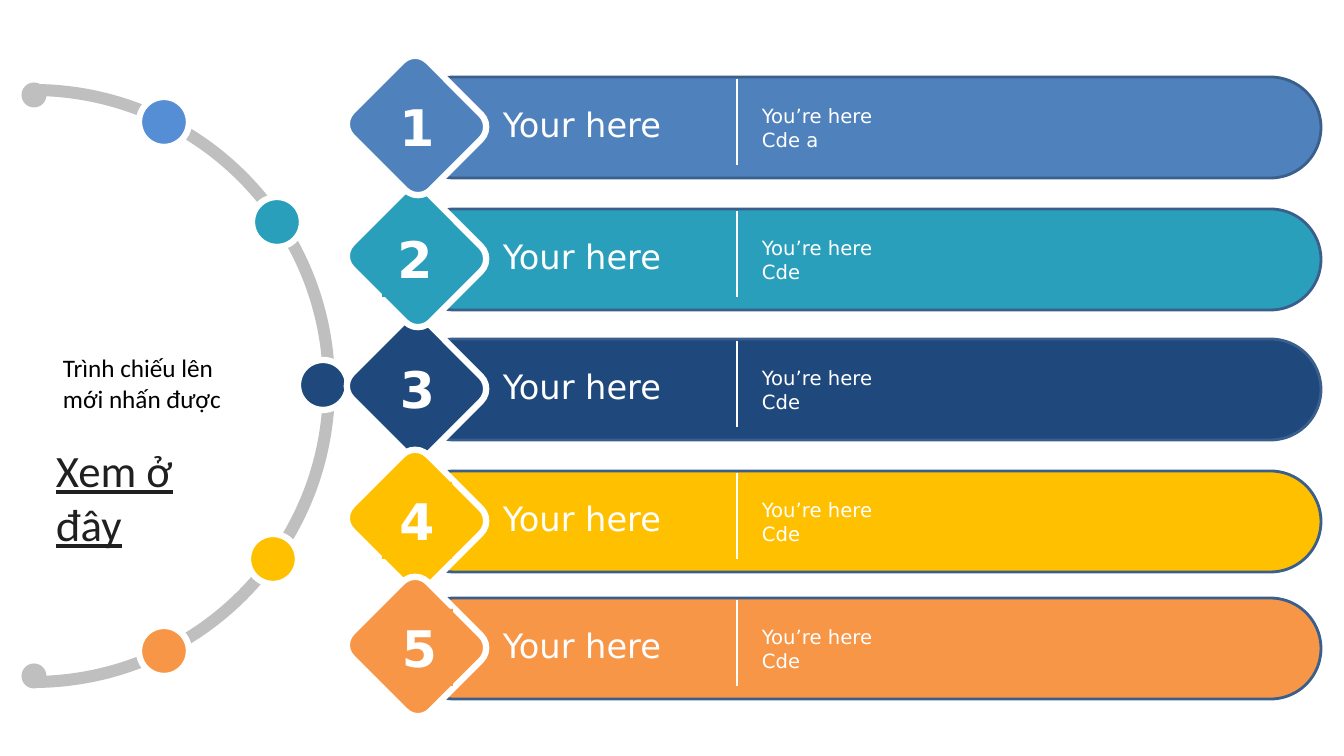
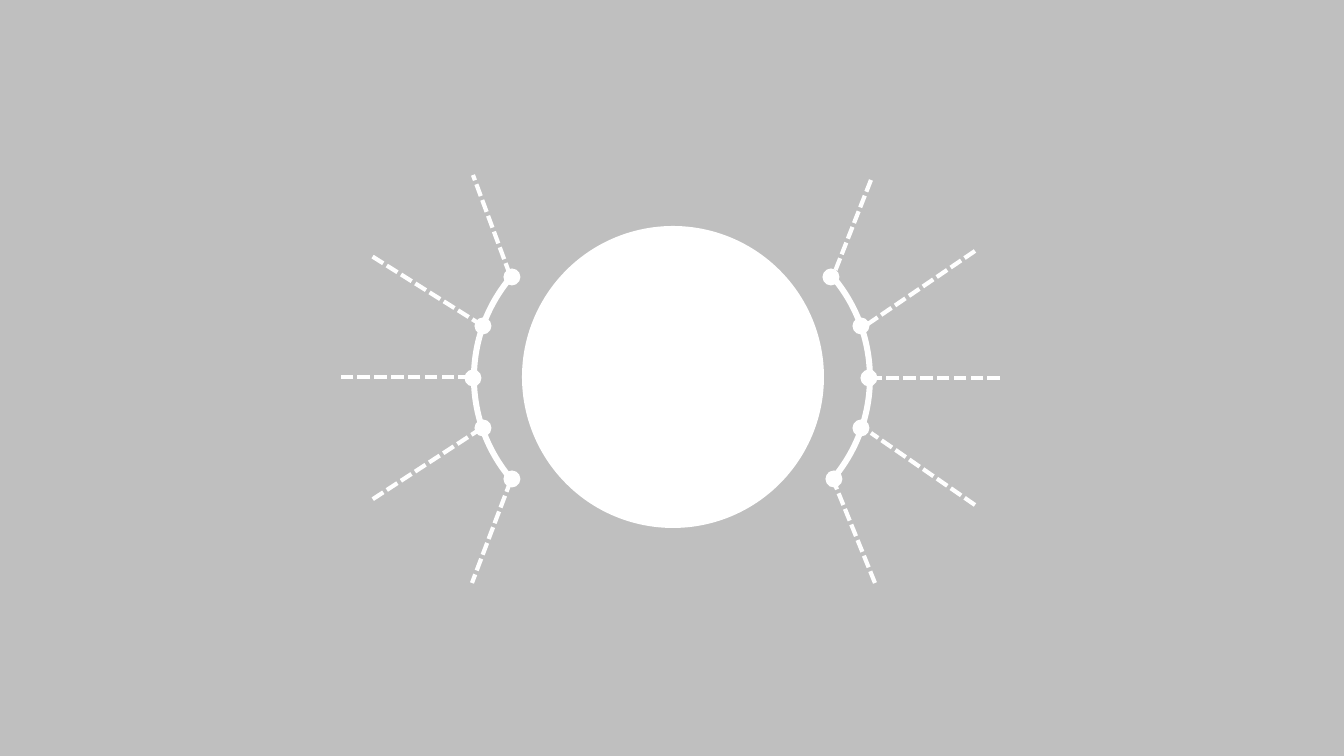
import math
from collections import namedtuple
from dataclasses import dataclass

from lxml import etree
from pptx import Presentation
from pptx import util as u
from pptx.dml import color
from pptx.enum import dml, shapes, text
from pptx.oxml import ns

EMU_PER_PX = 914400 / 100.8

Box = namedtuple("Box", "left top width height")
Band = namedtuple("Band", "top fill label_fill number_left number_width note")
Spoke = namedtuple("Spoke", "dot start end")


@dataclass(frozen=True)
class Theme:
    white: str = "FFFFFF"
    grey: str = "BFBFBF"
    black: str = "000000"
    charcoal: str = "202020"
    band_edge: str = "3A5F8C"
    light_blue: str = "558ED5"
    blue: str = "4F81BD"
    teal: str = "2A9FBC"
    navy: str = "1F497D"
    yellow: str = "FFC000"
    orange: str = "F79646"
    display: str = "DejaVu Sans"
    body: str = "Calibri"
    number_size: int = 36
    link_size: int = 32
    heading_size: int = 24
    hint_size: int = 18
    note_size: int = 14
    halo_width: float = 4.5
    ray_width: float = 3
    edge_width: float = 2
    divider_width: float = 1.5


THEME = Theme()

NUMBER = {"name": THEME.display, "size": u.Pt(THEME.number_size), "bold": True}
HEADING = {"name": THEME.display, "size": u.Pt(THEME.heading_size)}
NOTE = {"name": THEME.display, "size": u.Pt(THEME.note_size)}
HINT = {"name": THEME.body, "size": u.Pt(THEME.hint_size)}
LINK = {"name": THEME.body, "size": u.Pt(THEME.link_size), "underline": True}

BANDS = [
    Band(77, THEME.blue, None, 382, 70, ["You’re here", "Cde a"]),
    Band(209, THEME.teal, THEME.teal, 382, 66, ["You’re here", "Cde"]),
    Band(339, THEME.navy, THEME.navy, 387, 61, ["You’re here", "Cde"]),
    Band(471, THEME.yellow, THEME.yellow, 382, 70, ["You’re here", "Cde"]),
    Band(598, THEME.orange, THEME.orange, 386, 67, ["You’re here", "Cde"]),
]
STACKING = [2, 1, 0, 3, 4]

ARC_DOTS = [
    ((290, -1), THEME.navy),
    ((131, -264), THEME.light_blue),
    ((244, -164), THEME.teal),
    ((131, 265), THEME.orange),
    ((240, 173), THEME.yellow),
]

SPOKES = [
    Spoke((-160, -101), (-162, -103), (-199, -203)),
    Spoke((-189, -52), (-189, -52), (-302, -123)),
    Spoke((-199, 0), (-201, -1), (-335, -1)),
    Spoke((-189, 50), (-190, 50), (-302, 123)),
    Spoke((-160, 101), (-161, 102), (-200, 205)),
    Spoke((159, -101), (199, -198), (162, -104)),
    Spoke((189, -52), (303, -127), (193, -52)),
    Spoke((197, 0), (328, 0), (197, 0)),
    Spoke((189, 50), (303, 127), (199, 55)),
    Spoke((162, 101), (203, 205), (158, 94)),
]


def px(length):
    return u.Emu(round(length * EMU_PER_PX))


def rgb(code):
    return color.RGBColor.from_string(code)


def apply(target, values):
    for name, value in values.items():
        setattr(target, name, value)


def paint(shape, fill, edge=None, width=0):
    shape.shadow.inherit = False
    shape.fill.solid()
    shape.fill.fore_color.rgb = rgb(fill)
    if edge:
        shape.line.color.rgb = rgb(edge)
        shape.line.width = u.Pt(width)
    else:
        shape.line.fill.background()


def add_preset(page, kind, box, fill, edge=None, width=0):
    shape = page.shapes.add_shape(kind, *map(px, box))
    paint(shape, fill, edge, width)
    return shape


def add_dot(page, middle, diameter, fill, edge=None, width=0):
    x, y = middle
    box = Box(x - diameter / 2, y - diameter / 2, diameter, diameter)
    return add_preset(page, shapes.MSO_SHAPE.OVAL, box, fill, edge, width)


def add_line(page, start, end, width, dash=None):
    line = page.shapes.add_connector(
        shapes.MSO_CONNECTOR.STRAIGHT, *map(px, (*start, *end)))
    line.line.color.rgb = rgb(THEME.white)
    line.line.width = u.Pt(width)
    if dash:
        line.line.dash_style = dash
    etree.SubElement(line._element.spPr, ns.qn("a:effectLst"))


def add_text(page, box, lines, style, ink, fill=None,
             align=text.PP_ALIGN.LEFT, anchor=text.MSO_ANCHOR.MIDDLE):
    if fill:
        shape = add_preset(page, shapes.MSO_SHAPE.RECTANGLE, box, fill)
    else:
        shape = page.shapes.add_textbox(*map(px, box))
    frame = shape.text_frame
    apply(frame, {"word_wrap": True, "vertical_anchor": anchor,
                  "auto_size": text.MSO_AUTO_SIZE.SHAPE_TO_FIT_TEXT})
    for index, line in enumerate(lines):
        para = frame.add_paragraph() if index else frame.paragraphs[0]
        para.alignment = align
        span = para.add_run()
        span.text = line
        apply(span.font, style)
        span.font.color.rgb = rgb(ink)


def arc_points(middle, radius, half, side, turn):
    x, y = middle
    handle = radius * 4 / 3 * math.tan(half / 4)
    rise, run = radius * math.sin(half), radius * math.cos(half)
    lean, drop = handle * math.sin(half), handle * math.cos(half)
    offsets = [(run, -rise), (run + lean, drop - rise), (radius, -handle),
               (radius, 0), (radius, handle), (run + lean, rise - drop),
               (run, rise)]
    return [(px(x + side * dx), px(y + turn * dy)) for dx, dy in offsets]


def arc_outline(middle, outer, inner, chord=0, side=1):
    return [point for radius, turn in ((outer, 1), (inner, -1))
            for point in arc_points(middle, radius, math.acos(chord / radius),
                                    side, turn)]


def bend(shape):
    segments = list(shape._element.iter(ns.qn("a:lnTo")))
    for start in range(0, len(segments), 13):
        for first in (0, 3, 7, 10):
            group = segments[start + first:start + first + 3]
            curve = etree.Element(ns.qn("a:cubicBezTo"))
            group[0].addprevious(curve)
            for segment in group:
                curve.append(segment[0])
                segment.getparent().remove(segment)


def add_arcs(page, outlines, fill):
    builder = page.shapes.build_freeform(*outlines[0][0], scale=1.0)
    for index, points in enumerate(outlines):
        if index:
            builder.move_to(*points[0])
        builder.add_line_segments(points[1:], close=True)
    shape = builder.convert_to_shape()
    bend(shape)
    paint(shape, fill)


def draw_dotted_arc(page, box):
    x, y = box.left, box.top + box.height / 2
    add_arcs(page, [arc_outline((x, y), box.width, box.width - 12)], THEME.grey)
    for cap in (box.top + 11, box.top + box.height - 12):
        add_dot(page, (x + 1, cap), 25, THEME.grey)
    for (dx, dy), fill in ARC_DOTS:
        add_dot(page, (x + dx, y + dy), 50, fill, THEME.white, THEME.halo_width)


def draw_band(page, box, band, number):
    left, top = box.left, box.top
    bar = add_preset(page, shapes.MSO_SHAPE.ROUNDED_RECTANGLE, box, band.fill,
                     THEME.band_edge, THEME.edge_width)
    bar.adjustments[0] = 0.5
    diamond = add_preset(page, shapes.MSO_SHAPE.ROUNDED_RECTANGLE,
                         Box(left - 43, top - 5, 111, 107), band.fill,
                         THEME.white, THEME.halo_width)
    diamond.rotation = 45
    add_text(page, Box(band.number_left, top + 11, band.number_width, 77),
             [str(number)], NUMBER, THEME.white, band.label_fill,
             text.PP_ALIGN.CENTER)
    add_text(page, Box(left + 89, top + 20, 226, 54), ["Your here"],
             HEADING, THEME.white, band.label_fill)
    add_line(page, (left + 333, top + 2), (left + 333, top + 88),
             THEME.divider_width)
    add_text(page, Box(left + 348, top + 20, 542, 61), band.note,
             NOTE, THEME.white, band.label_fill)


def draw_prompt(page, box):
    add_text(page, Box(box.left + 7, box.top, 214, 72),
             ["Trình chiếu lên mới nhấn được"], HINT, THEME.black)
    add_text(page, Box(box.left, box.top + 91, 202, 119), ["Xem ở đây"],
             LINK, THEME.charcoal, anchor=text.MSO_ANCHOR.TOP)


def draw_starburst(page, box):
    x, y = box.left + box.width / 2, box.top + box.height / 2
    add_arcs(page, [arc_outline((x + side * 42, y), 159, 153, 116, side)
                    for side in (-1, 1)], THEME.white)
    add_dot(page, (x + 1, y - 1), 302, THEME.white)
    for spoke in SPOKES:
        dot, start, end = ((x + dx, y + dy) for dx, dy in spoke)
        add_dot(page, dot, 17, THEME.white)
        add_line(page, start, end, THEME.ray_width, dml.MSO_LINE.SQUARE_DOT)


def add_page(deck, background):
    page = deck.slides.add_slide(deck.slide_layouts[6])
    page.background.fill.solid()
    page.background.fill.fore_color.rgb = rgb(background)
    return page


def build_list_page(deck):
    page = add_page(deck, THEME.white)
    draw_dotted_arc(page, Box(33, 84, 302, 604))
    for index in STACKING:
        band = BANDS[index]
        draw_band(page, Box(404, band.top, 917, 101), band, index + 1)
    draw_prompt(page, Box(46, 347, 221, 210))


def build_starburst_page(deck):
    page = add_page(deck, THEME.grey)
    draw_starburst(page, Box(336, 173, 672, 410))


def main():
    deck = Presentation()
    apply(deck, {"slide_width": px(1344), "slide_height": px(756)})
    build_list_page(deck)
    build_starburst_page(deck)
    deck.save("out.pptx")


if __name__ == "__main__":
    main()
